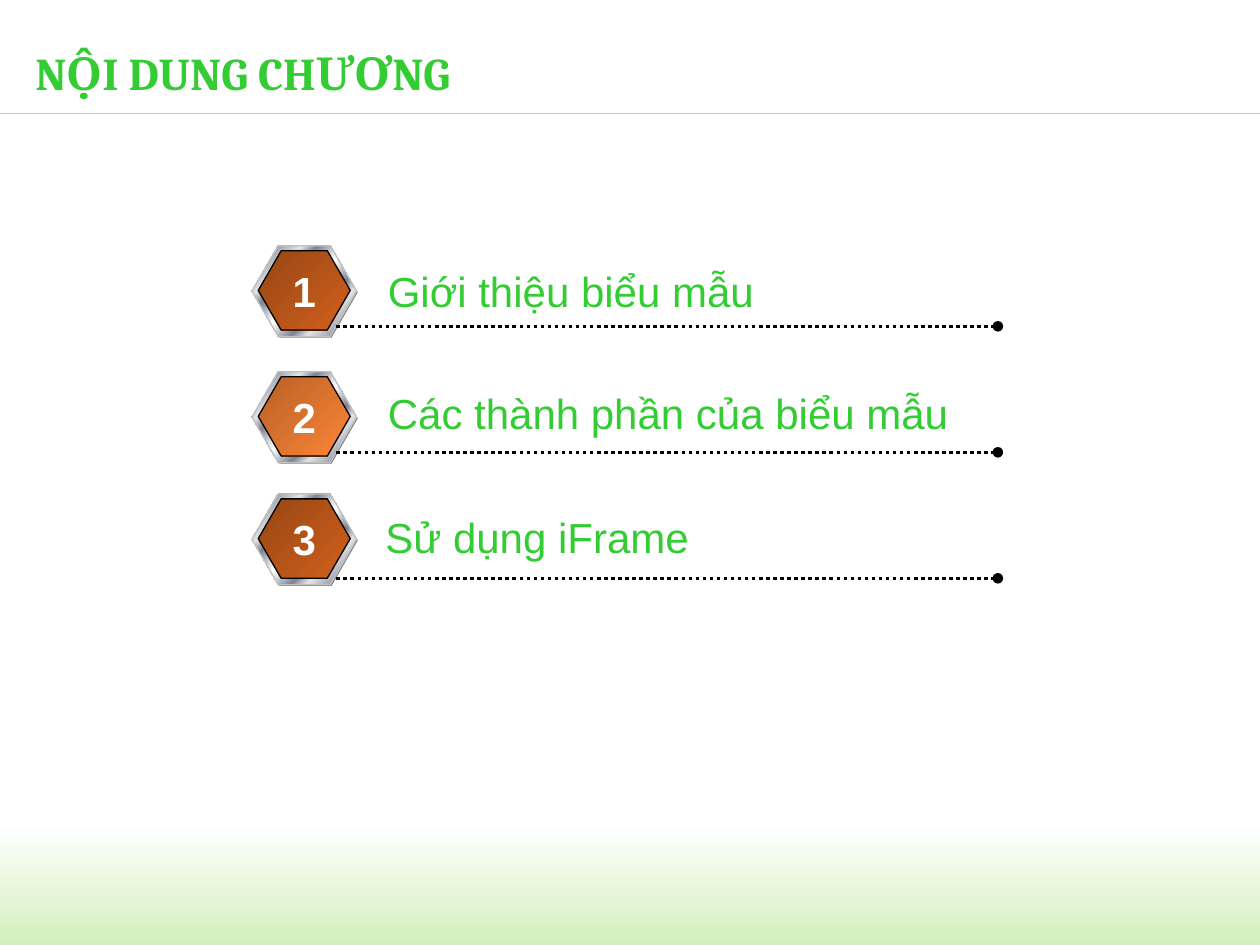
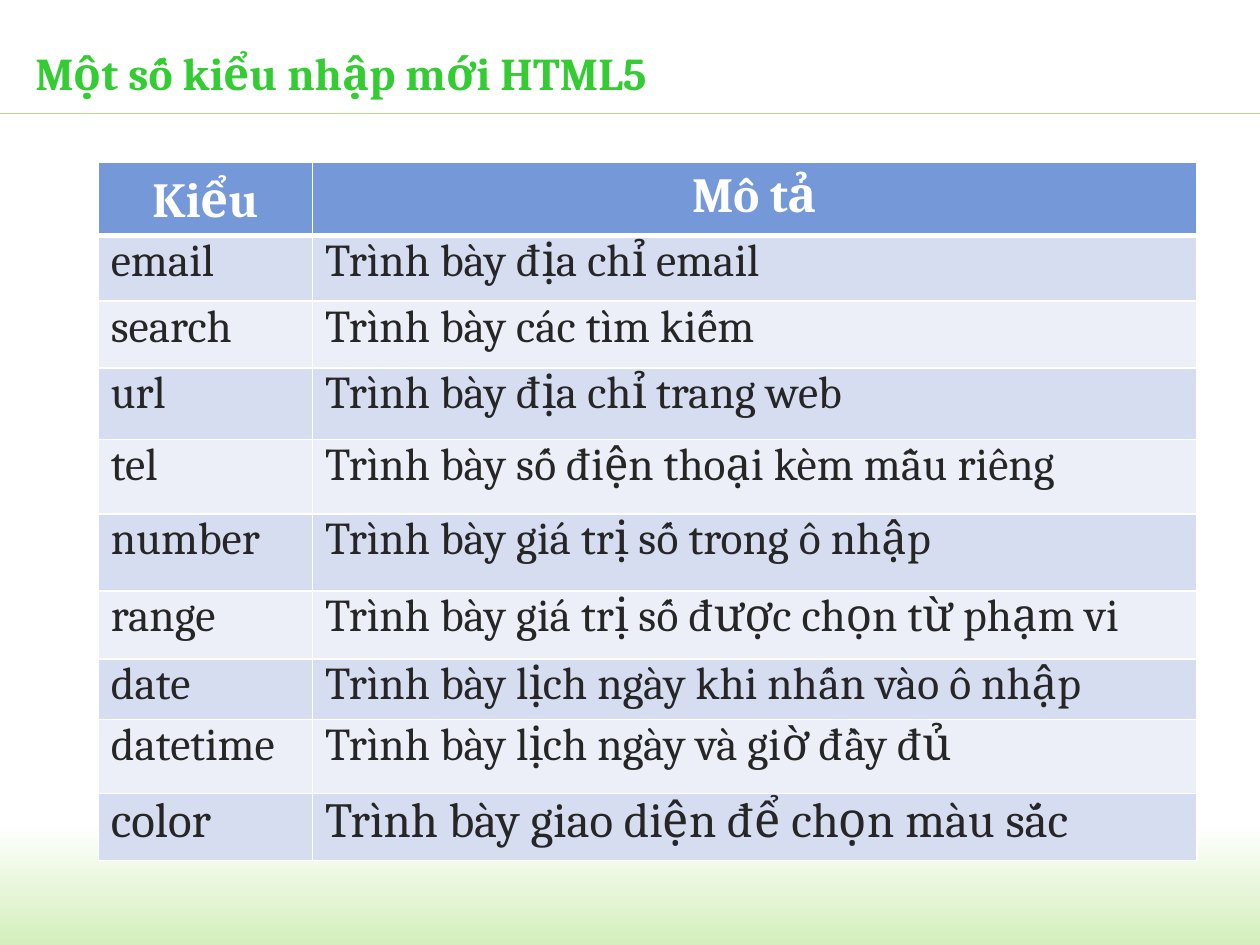
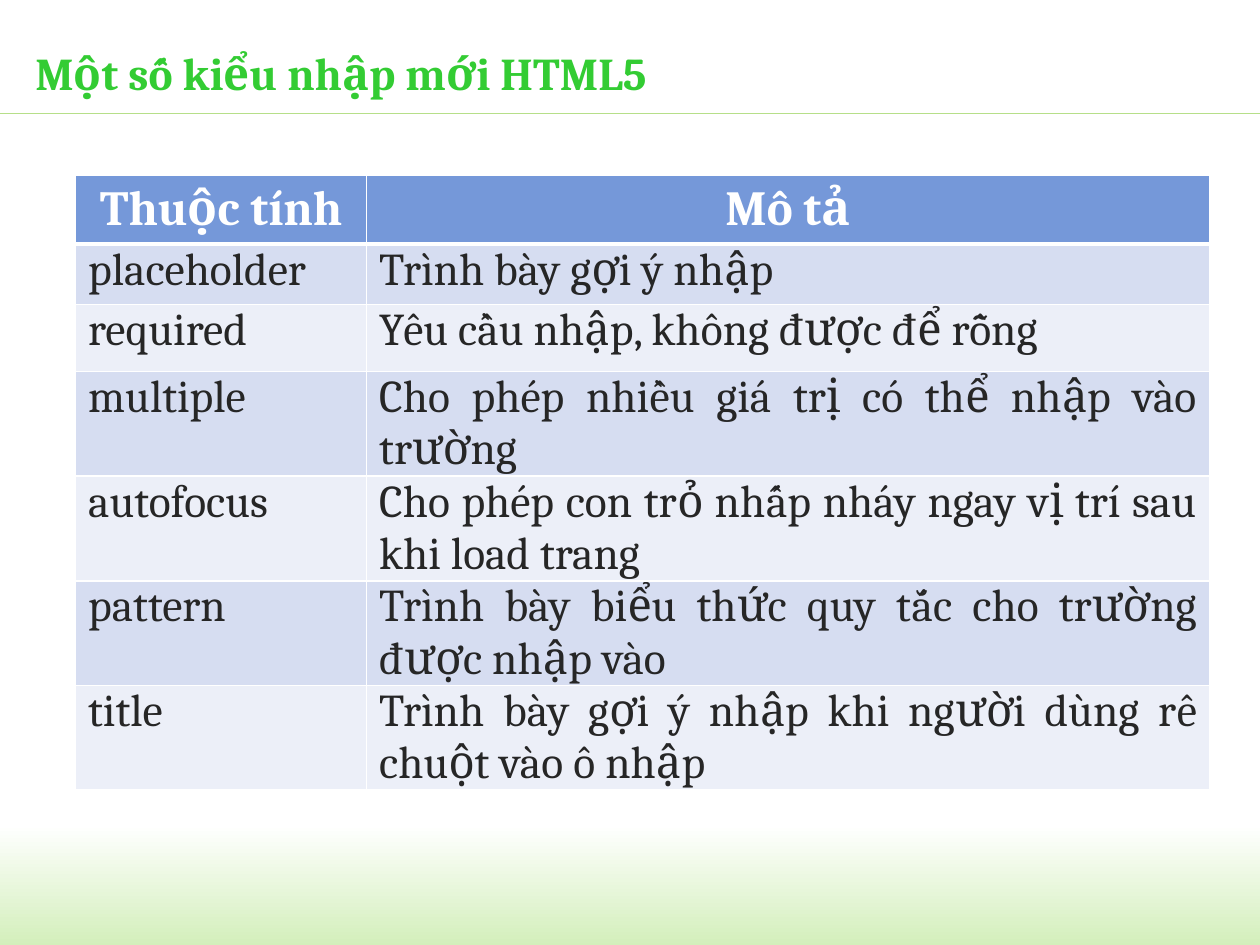
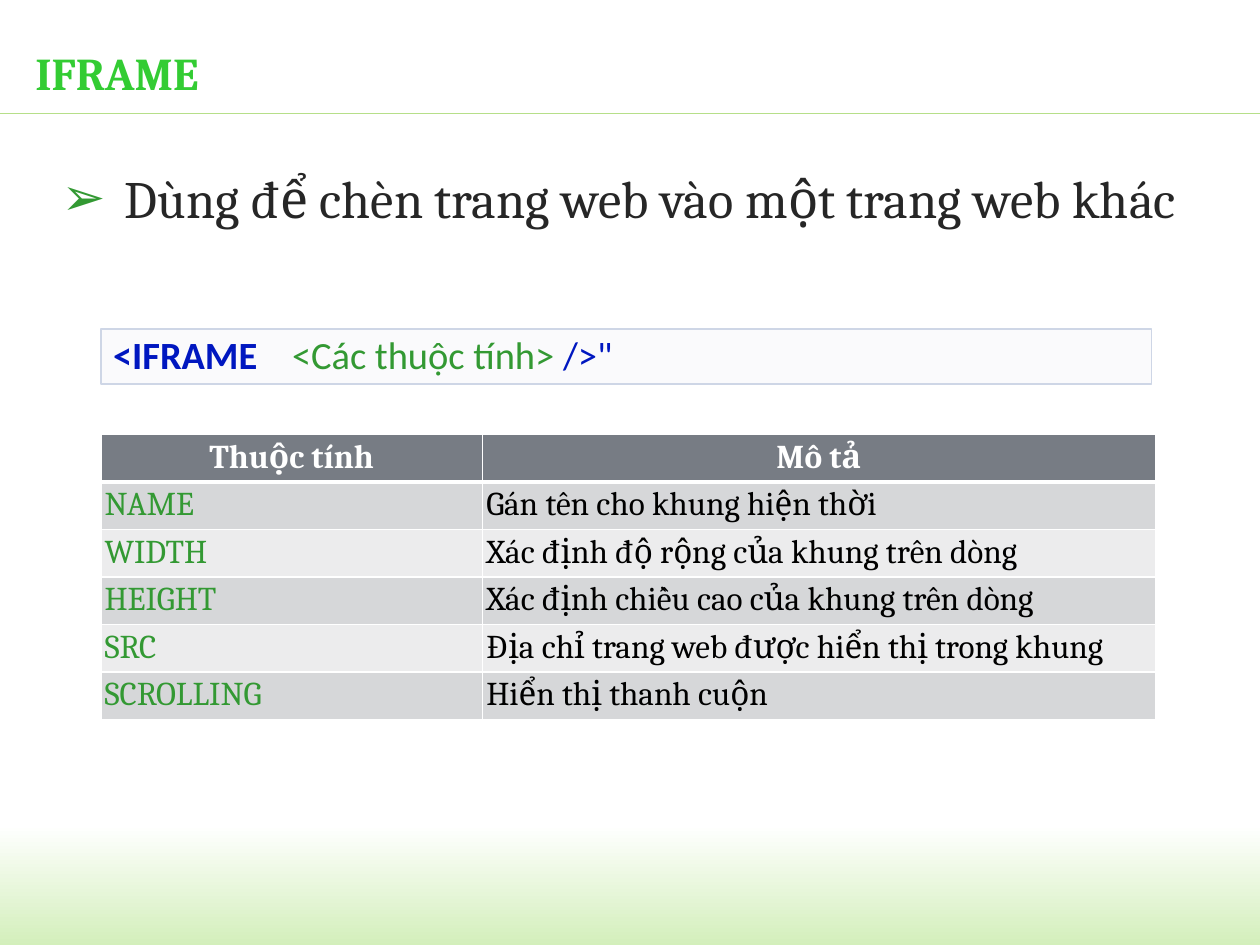
from dataclasses import dataclass
from typing import NamedTuple

from lxml.etree import SubElement
from pptx import Presentation
from pptx.dml.color import RGBColor
from pptx.enum.dml import MSO_LINE
from pptx.enum.shapes import MSO_CONNECTOR, MSO_SHAPE
from pptx.enum.text import MSO_ANCHOR, MSO_AUTO_SIZE, PP_ALIGN
from pptx.oxml.ns import qn
from pptx.util import Inches, Pt

COLORS = {
    "white": "FFFFFF", "black": "000000", "title": "33CC33", "green": "339933",
    "rule": "B6DF89", "band": "D3EFBB", "text": "262626", "code": "0017C0",
    "code_fill": "DFE3EE", "code_line": "CED6E6",
    "blue_head": "7598D9", "blue_odd": "D6DDF1", "blue_even": "ECEFF8",
    "gray_head": "777C84", "gray_odd": "D6D7D9", "gray_even": "ECECED",
    "shade": "808080", "rim": "C0C0C0", "silver": "E6E6E6", "steel": "7D8496",
    "brown_dark": "964514", "brown": "D2611C",
    "orange_dark": "B66027", "orange": "FE8637",
}
METAL = [(0, "silver"), (8, "steel"), (26, "silver"), (34, "steel"),
         (46, "silver"), (50, "white"), (54, "silver"), (66, "steel"),
         (74, "silver"), (92, "steel"), (100, "silver")]
BROWN = [(0, "brown_dark"), (100, "brown")]
ORANGE = [(0, "orange_dark"), (100, "orange")]


class Box(NamedTuple):
    left: float
    top: float
    width: float
    height: float

    def lengths(self) -> list:
        return [Inches(v) for v in self]


class Style(NamedTuple):
    size: float
    color: str
    font: str = "Cambria"
    bold: bool = False


@dataclass
class Topic:
    text: str
    top: float
    label: Box
    stops: list


@dataclass
class TableSpec:
    left: float
    top: float
    cols: list
    heights: list
    rows: list
    palette: str
    head: Style
    keys: Style
    values: Style
    margins: tuple
    head_margins: tuple
    head_anchor: MSO_ANCHOR = MSO_ANCHOR.BOTTOM
    value_align: PP_ALIGN = PP_ALIGN.JUSTIFY


TITLE = Style(26, "title", bold=True)
TOPIC = Style(24, "title", "Arial")
NUMBER = Style(24, "white", "Arial", True)
CELL = Style(26, "text")
HEAD = Style(28, "white", bold=True)
WIDE = (0.1, 0, 0.1, 0)
NORMAL = (0.1, 0.05, 0.1, 0.05)
TIGHT = (0.03,) * 4

TOPICS = [
    Topic("Giới thiệu biểu mẫu", 1.95, Box(2.98, 2.06, 3.14, 0.5), BROWN),
    Topic("Các thành phần của biểu mẫu", 2.95, Box(2.98, 3.03, 4.7, 0.5), ORANGE),
    Topic("Sử dụng iFrame", 3.92, Box(2.96, 4.01, 2.64, 0.5), BROWN),
]
INPUT_TYPES = TableSpec(
    0.78, 1.29, [1.7, 7.02],
    [0.58, 0.52, 0.53, 0.57, 0.59, 0.61, 0.54, 0.48, 0.59, 0.53],
    [("Kiểu", "Mô tả"),
     ("email", "Trình bày địa chỉ email"),
     ("search", "Trình bày các tìm kiếm"),
     ("url", "Trình bày địa chỉ trang web"),
     ("tel", "Trình bày số điện thoại kèm mẫu riêng"),
     ("number", "Trình bày giá trị số trong ô nhập"),
     ("range", "Trình bày giá trị số được chọn từ phạm vi"),
     ("date", "Trình bày lịch ngày khi nhấn vào ô nhập"),
     ("datetime", "Trình bày lịch ngày và giờ đầy đủ"),
     ("color", "Trình bày giao diện để chọn màu sắc")],
    "blue", HEAD, CELL, CELL, WIDE, NORMAL)
INPUT_ATTRIBUTES = TableSpec(
    0.6, 1.39, [2.31, 6.69], [0.53, 0.48, 0.53] + [0.83] * 4,
    [("Thuộc tính", "Mô tả"),
     ("placeholder", "Trình bày gợi ý nhập"),
     ("required", "Yêu cầu nhập, không được để rỗng"),
     ("multiple", "Cho phép nhiều giá trị có thể nhập vào trường"),
     ("autofocus", "Cho phép con trỏ nhấp nháy ngay vị trí sau khi load trang"),
     ("pattern", "Trình bày biểu thức quy tắc cho trường được nhập vào"),
     ("title", "Trình bày gợi ý nhập khi người dùng rê chuột vào ô nhập")],
    "blue", HEAD, CELL, CELL, WIDE, NORMAL)
IFRAME_ATTRIBUTES = TableSpec(
    0.8, 3.45, [3.03, 5.34], [2.26 / 6] * 6,
    [("Thuộc tính", "Mô tả"),
     ("NAME", "Gán tên cho khung hiện thời"),
     ("WIDTH", "Xác định độ rộng của khung trên dòng"),
     ("HEIGHT", "Xác định chiều cao của khung trên dòng"),
     ("SRC", "Địa chỉ trang web được hiển thị trong khung"),
     ("SCROLLING", "Hiển thị thanh cuộn")],
    "gray", Style(19, "white", bold=True), Style(19, "green"),
    Style(19, "black"), TIGHT, TIGHT, MSO_ANCHOR.TOP, PP_ALIGN.LEFT)


def rgb(name: str) -> RGBColor:
    return RGBColor.from_string(COLORS[name])


def add_run(p, text: str, style: Style) -> None:
    r = p.add_run()
    r.text = text
    r.font.name = style.font
    r.font.size = Pt(style.size)
    r.font.bold = style.bold
    r.font.color.rgb = rgb(style.color)


def set_margins(target, margins: tuple) -> None:
    (target.margin_left, target.margin_top,
     target.margin_right, target.margin_bottom) = map(Inches, margins)


def set_gradient(shape, stops: list, angle: float) -> None:
    shape.fill.gradient()
    shape.fill.gradient_angle = 360 - angle
    gs_list = shape.element.spPr.find(qn("a:gradFill")).find(qn("a:gsLst"))
    gs_list.clear()
    for position, name in stops:
        gs = SubElement(gs_list, qn("a:gs"), pos=str(position * 1000))
        SubElement(gs, qn("a:srgbClr"), val=COLORS[name])


def add_preset(shapes, kind: MSO_SHAPE, box: Box, line: str = "", width: float = 0.75):
    sp = shapes.add_shape(kind, *box.lengths())
    sp.shadow.inherit = False
    if line:
        sp.line.color.rgb = rgb(line)
        sp.line.width = Pt(width)
    else:
        sp.line.fill.background()
    return sp


def add_line(s, start: tuple, end: tuple, color: str, width: float):
    line = s.shapes.add_connector(MSO_CONNECTOR.STRAIGHT,
                                  *(Inches(v) for v in start + end))
    line.line.color.rgb = rgb(color)
    line.line.width = Pt(width)
    SubElement(line.element.spPr, qn("a:effectLst"))
    return line


def add_label(s, box: Box, text: str, style: Style, align: PP_ALIGN = PP_ALIGN.LEFT) -> None:
    tf = s.shapes.add_textbox(*box.lengths()).text_frame
    tf.word_wrap = False
    tf.auto_size = MSO_AUTO_SIZE.SHAPE_TO_FIT_TEXT
    tf.paragraphs[0].alignment = align
    add_run(tf.paragraphs[0], text, style)


def add_titled_slide(prs, text: str, width: float = 9.37):
    s = prs.slides.add_slide(prs.slide_layouts[5])
    title = s.shapes.title
    title.left, title.top, title.width, title.height = Box(0.28, 0.25, width, 0.64).lengths()
    tf = title.text_frame
    tf.auto_size = MSO_AUTO_SIZE.NONE
    tf.vertical_anchor = MSO_ANCHOR.MIDDLE
    set_margins(tf, (0, 0, 0, 0))
    tf.paragraphs[0].alignment = PP_ALIGN.LEFT
    add_run(tf.paragraphs[0], text, TITLE)
    return s


def furnish_layout(s) -> None:
    band = add_preset(s.shapes, MSO_SHAPE.RECTANGLE, Box(-0.01, 6.54, 10.03, 0.97))
    set_gradient(band, [(0, "white"), (100, "band")], 90)
    rule = add_line(s, (0, 0.9), (10, 0.9), "rule", 0.75)
    tree = s.slide_layout.shapes.element
    for position, sp in enumerate((band, rule), 2):
        tree.insert(position, sp.element)


def add_badge(s, top: float, stops: list) -> None:
    group = s.shapes.add_group_shape()
    shade, rim, core = [
        add_preset(group.shapes, MSO_SHAPE.HEXAGON, box, line)
        for box, line in ((Box(2.01, top + 0.01, 0.83, 0.72), ""),
                          (Box(2, top, 0.83, 0.72), "rim"),
                          (Box(2.05, top + 0.04, 0.73, 0.63), "black"))]
    for sp in (shade, rim, core):
        sp.adjustments[0] = 0.289
        sp.adjustments[1] = 1.155
    shade.fill.solid()
    shade.fill.fore_color.rgb = rgb("shade")
    set_gradient(rim, METAL, 45)
    set_gradient(core, stops, 45)


def add_topic(s, index: int, topic: Topic) -> None:
    add_badge(s, topic.top, topic.stops)
    y = 2.59 + index
    line = add_line(s, (2.67, y), (7.92, y), "black", 2)
    line.line.dash_style = MSO_LINE.ROUND_DOT
    SubElement(line.element.spPr.find(qn("a:ln")), qn("a:tailEnd"), type="oval")
    add_label(s, topic.label, topic.text, TOPIC)
    add_label(s, Box(2.22, topic.top + 0.11, 0.39, 0.5), str(index + 1),
              NUMBER, PP_ALIGN.CENTER)


def set_borders(cell) -> None:
    tc_pr = cell._tc.get_or_add_tcPr()
    for side, width in (("L", 1), ("R", 1), ("T", 1), ("B", 3)):
        ln = SubElement(tc_pr, qn(f"a:ln{side}"), w=str(Pt(width)))
        SubElement(SubElement(ln, qn("a:solidFill")), qn("a:srgbClr"), val=COLORS["white"])


def fill_cell(cell, text: str, style: Style, fill: str, margins: tuple, align: PP_ALIGN) -> None:
    set_margins(cell, margins)
    cell.fill.solid()
    cell.fill.fore_color.rgb = rgb(fill)
    p = cell.text_frame.paragraphs[0]
    p.alignment = align
    add_run(p, text, style)


def add_grid(s, spec: TableSpec):
    box = Box(spec.left, spec.top, sum(spec.cols), sum(spec.heights))
    table = s.shapes.add_table(len(spec.rows), len(spec.cols), *box.lengths()).table
    for column, width in zip(table.columns, spec.cols):
        column.width = Inches(width)
    for row, height in zip(table.rows, spec.heights):
        row.height = Inches(height)
    for i, texts in enumerate(spec.rows):
        for j, text in enumerate(texts):
            cell = table.cell(i, j)
            if i == 0:
                set_borders(cell)
                fill_cell(cell, text, spec.head, f"{spec.palette}_head",
                          spec.head_margins, PP_ALIGN.CENTER)
            else:
                fill_cell(cell, text, spec.values if j else spec.keys,
                          f"{spec.palette}_{'odd' if i % 2 else 'even'}", spec.margins,
                          spec.value_align if j else PP_ALIGN.LEFT)
    table.cell(0, 0).vertical_anchor = spec.head_anchor
    return table


def add_bullet_text(s, box: Box, text: str) -> None:
    tf = s.shapes.add_textbox(*box.lengths()).text_frame
    tf.word_wrap = True
    set_margins(tf, (0, 0, 0, 0))
    p = tf.paragraphs[0]
    p_pr = p._p.get_or_add_pPr()
    p_pr.set("marL", str(Inches(0.5)))
    p_pr.set("indent", str(Inches(-0.5)))
    SubElement(SubElement(p_pr, qn("a:buClr")), qn("a:srgbClr"), val=COLORS["green"])
    SubElement(p_pr, qn("a:buFont"), typeface="Arial")
    SubElement(p_pr, qn("a:buChar"), char="➢")
    add_run(p, text, Style(30, "text"))


def add_code_box(s, box: Box) -> None:
    sp = add_preset(s.shapes, MSO_SHAPE.RECTANGLE, box, "code_line", 1)
    sp.fill.solid()
    sp.fill.fore_color.rgb = rgb("code_fill")
    color = sp.element.spPr.find(qn("a:solidFill")).find(qn("a:srgbClr"))
    SubElement(color, qn("a:alpha"), val="15000")
    sp.text_frame.word_wrap = True
    p = sp.text_frame.paragraphs[0]
    p.alignment = PP_ALIGN.LEFT
    p.line_spacing = Pt(24)
    tabs = SubElement(p._p.get_or_add_pPr(), qn("a:tabLst"))
    SubElement(tabs, qn("a:tab"), pos=str(Inches(1.42)), algn="l")
    add_run(p, "<IFRAME\t", Style(22, "code", "Calibri", True))
    add_run(p, "<Các thuộc tính> ", Style(22, "green", "Calibri"))
    add_run(p, "/>\"", Style(22, "code", "Calibri"))


def main() -> None:
    prs = Presentation()
    prs.slide_width, prs.slide_height = Inches(10), Inches(7.5)

    s = add_titled_slide(prs, "NỘI DUNG CHƯƠNG", 5.08)
    furnish_layout(s)
    for index, topic in enumerate(TOPICS):
        add_topic(s, index, topic)

    s = add_titled_slide(prs, "Một số kiểu nhập mới HTML5")
    table = add_grid(s, INPUT_TYPES)
    for cell in table.rows[len(INPUT_TYPES.rows) - 1].cells:
        cell.text_frame.paragraphs[0].runs[0].font.size = Pt(28)

    s = add_titled_slide(prs, "Một số kiểu nhập mới HTML5")
    add_grid(s, INPUT_ATTRIBUTES)

    s = add_titled_slide(prs, "IFRAME")
    add_bullet_text(s, Box(0.49, 1.32, 9.03, 5.03),
                    "Dùng để chèn trang web vào một trang web khác")
    add_code_box(s, Box(0.8, 2.61, 8.34, 0.44))
    add_grid(s, IFRAME_ATTRIBUTES)

    prs.save("out.pptx")


if __name__ == "__main__":
    main()
